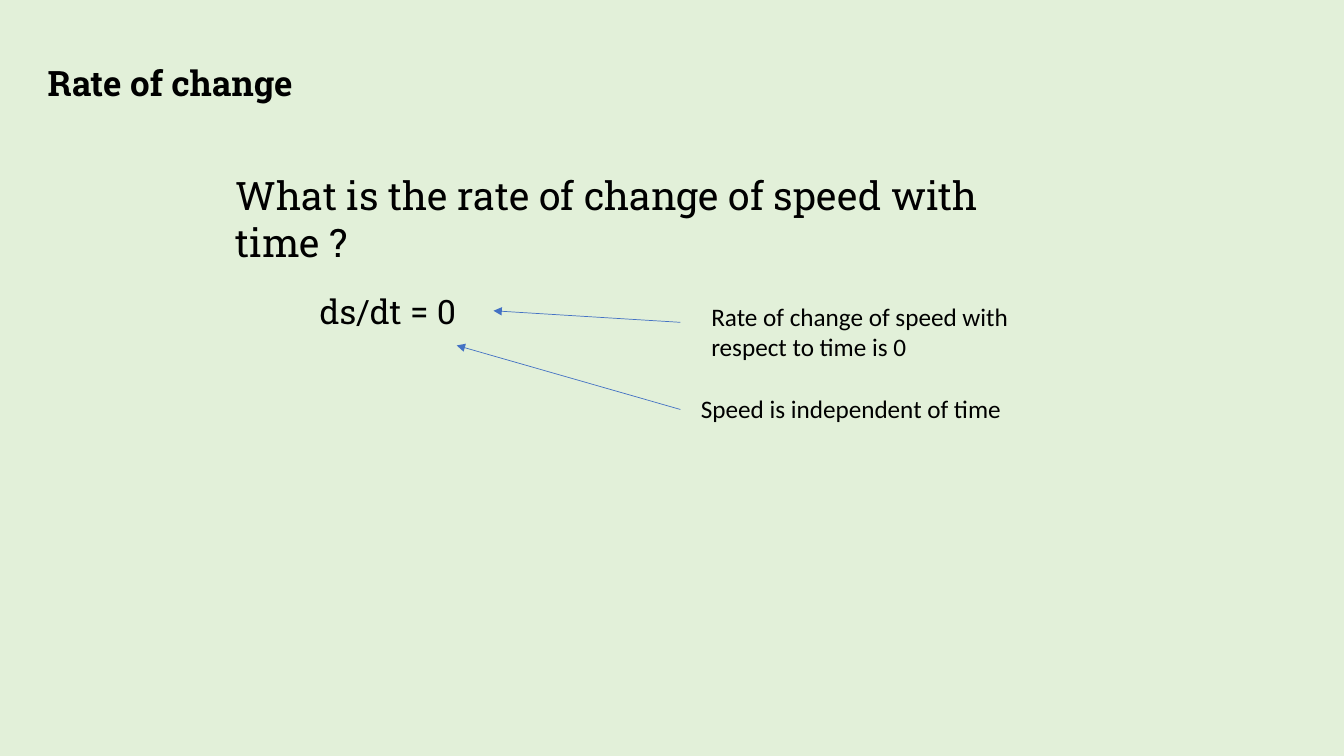
"""Builds the slide on the rate of change of speed with time."""
from lxml import etree
from pptx import Presentation
from pptx.dml.color import RGBColor
from pptx.enum.shapes import MSO_CONNECTOR
from pptx.enum.text import MSO_AUTO_SIZE
from pptx.oxml.ns import qn
from pptx.util import Pt

PX = 9525
STRAIGHT = MSO_CONNECTOR.STRAIGHT
FIT_SHAPE = MSO_AUTO_SIZE.SHAPE_TO_FIT_TEXT
COLORS = {"background": "E2F0D9", "text": "000000", "arrow": "4472C4"}
SLAB = "Roboto Slab"
BODY = "Calibri"

presentation = Presentation()
presentation.slide_width = 1280 * PX
presentation.slide_height = 720 * PX
slide = presentation.slides.add_slide(presentation.slide_layouts[6])
slide.background.fill.solid()
slide.background.fill.fore_color.rgb = RGBColor.from_string(COLORS["background"])

texts = [
    ("Rate of change", (36, 54, 612, 50), SLAB, 25, True),
    ("What is the rate of change of speed with time ?", (215, 158, 828, 55), SLAB, 28, False),
    ("ds/dt = 0", (295, 272, 251, 48), SLAB, 24, False),
    ("Rate of change of speed with respect to time is 0", (668, 282, 328, 68), BODY, 18, False),
    ("Speed is independent of time", (658, 370, 328, 38), BODY, 18, False),
]
for text, box, font_name, size, bold in texts:
    shape = slide.shapes.add_textbox(*(length * PX for length in box))
    text_frame = shape.text_frame
    text_frame.word_wrap = True
    text_frame.auto_size = FIT_SHAPE
    text_frame.text = text
    font = text_frame.paragraphs[0].runs[0].font
    font.name = font_name
    font.size = Pt(size)
    font.bold = bold
    font.color.rgb = RGBColor.from_string(COLORS["text"])

arrows = [(648, 307, 470, 296), (648, 390, 435, 329)]
for ends in arrows:
    arrow = slide.shapes.add_connector(STRAIGHT, *(length * PX for length in ends))
    arrow.line.color.rgb = RGBColor.from_string(COLORS["arrow"])
    arrow.line.width = Pt(0.5)
    etree.SubElement(arrow.line._get_or_add_ln(), qn("a:tailEnd"), type="triangle")
    etree.SubElement(arrow._element.spPr, qn("a:effectLst"))

presentation.save("out.pptx")
